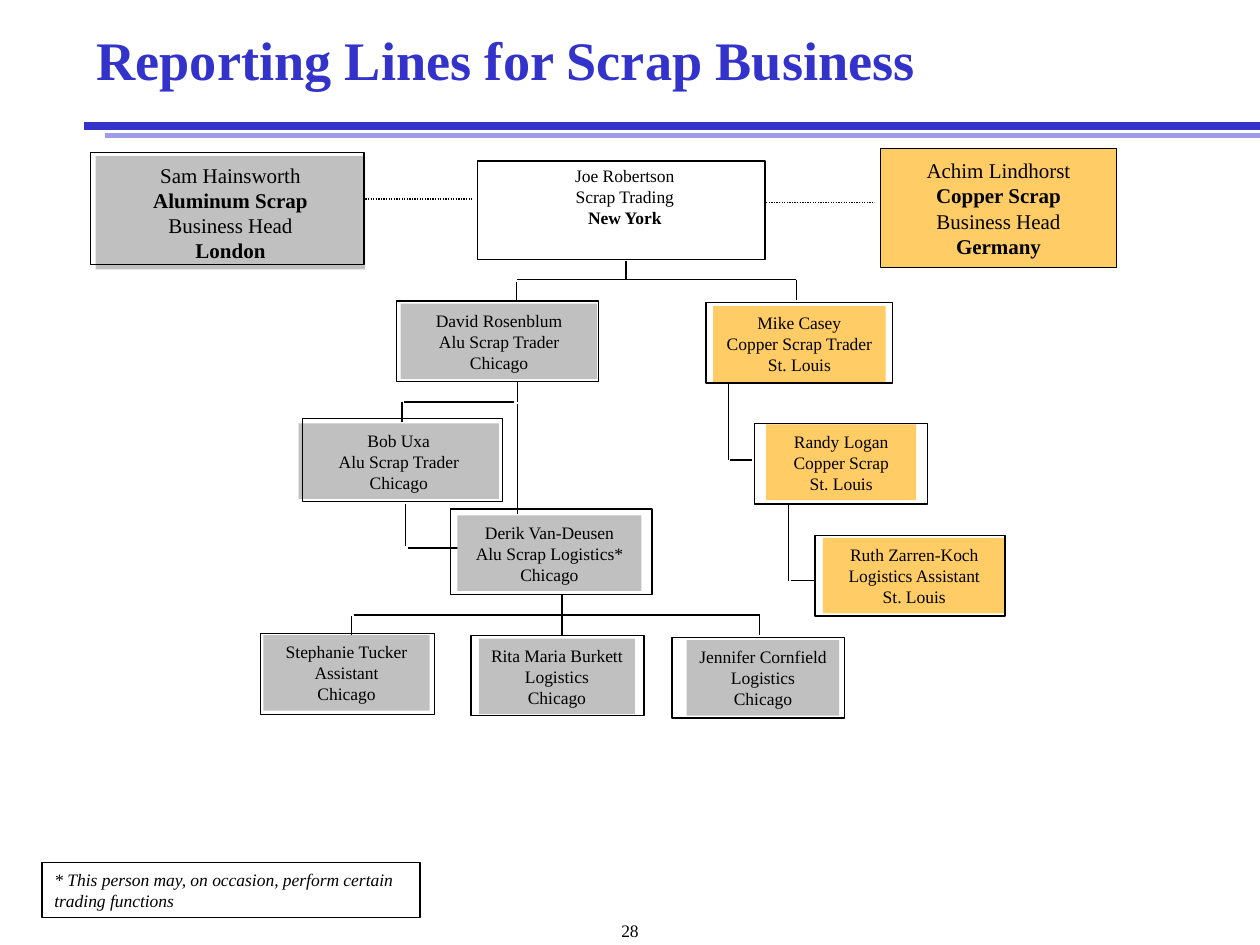
import pptx
import pptx.dml.color
import pptx.enum.dml
import pptx.enum.shapes
import pptx.enum.text
import pptx.oxml
import pptx.util

Pt = pptx.util.Pt
CENTER = pptx.enum.text.PP_ALIGN.CENTER
LEFT = pptx.enum.text.PP_ALIGN.LEFT
TOP = pptx.enum.text.MSO_ANCHOR.TOP
MIDDLE = pptx.enum.text.MSO_ANCHOR.MIDDLE
BLACK, BLUE, LILAC = "000000", "3333CC", "9D9DE7"
GRAY, AMBER = "C0C0C0", "FFCC66"


def color(value):
    return pptx.dml.color.RGBColor.from_string(value)


class ChartSlide:
    """Draws the parts of a reporting chart in one style on one slide."""

    font_name = "Times New Roman"

    def __init__(self, slide):
        self.slide = slide

    def set_text(self, shape, lines, size=10, bold=(), italic=False, ink=BLACK,
                 align=CENTER, anchor=TOP, wrap=False):
        frame = shape.text_frame
        frame.auto_size = pptx.enum.text.MSO_AUTO_SIZE.NONE
        frame.word_wrap = wrap
        frame.vertical_anchor = anchor
        frame.margin_left = frame.margin_right = Pt(7.2)
        frame.margin_top = frame.margin_bottom = Pt(3.6)
        for index, line in enumerate(lines):
            paragraph = frame.add_paragraph() if index else frame.paragraphs[0]
            paragraph.alignment = align
            run = paragraph.add_run()
            run.text = line
            font = run.font
            font.name, font.size = self.font_name, Pt(size)
            font.bold, font.italic = index in bold, italic
            font.color.rgb = color(ink)

    def title(self, text, box):
        title = self.slide.shapes.title
        title.left, title.top, title.width, title.height = map(Pt, box)
        self.set_text(title, [text], 31, bold=(0,), ink=BLUE, align=LEFT, anchor=MIDDLE, wrap=True)
        title.text_frame.paragraphs[0].line_spacing = 0.9

    def box(self, box, fill=None, outline=None):
        shape = self.slide.shapes.add_shape(
            pptx.enum.shapes.MSO_SHAPE.RECTANGLE, *map(Pt, box))
        shape.shadow.inherit = False
        if fill:
            shape.fill.solid()
            shape.fill.fore_color.rgb = color(fill)
        else:
            shape.fill.background()
        if outline:
            shape.line.color.rgb = color(outline)
            shape.line.width = Pt(0.75)
        else:
            shape.line.fill.background()
        return shape

    def card(self, panel, frame, fill, lines, **style):
        self.set_text(self.box(panel, fill), lines, **style)
        self.box(frame, outline=BLACK)

    def label(self, box, lines, **style):
        self.set_text(self.slide.shapes.add_textbox(*map(Pt, box)), lines, **style)

    def line(self, points, ink=BLACK, width=0.75, dotted=False):
        connector = self.slide.shapes.add_connector(
            pptx.enum.shapes.MSO_CONNECTOR.STRAIGHT, *map(Pt, points))
        connector.line.color.rgb = color(ink)
        connector.line.width = Pt(width)
        if dotted:
            connector.line.dash_style = pptx.enum.dml.MSO_LINE.ROUND_DOT
        effects = pptx.oxml.parse_xml(
            '<a:effectLst xmlns:a="http://schemas.openxmlformats.org/drawingml/2006/main"/>')
        connector._element.spPr.append(effects)


REPORTING_LINES = [
    (357.8, 149, 357.8, 159.8), (357, 159.8, 295.2, 159.8),
    (295.2, 161.3, 295.2, 172), (357.8, 159.8, 455, 159.8),
    (455, 159.8, 455, 171.4),
    (295.9, 218.2, 295.9, 229.7), (293.8, 229.7, 231.1, 229.7),
    (229.7, 229.7, 229.7, 241.2), (295.9, 231.1, 295.9, 293.8),
    (231.8, 288, 231.8, 311.8), (265.7, 313.2, 233.3, 313.2),
    (321.1, 339.8, 321.1, 351.4), (202.3, 351.4, 434.2, 351.4),
    (416.2, 218.9, 416.2, 262.8), (416.9, 262.8, 429.8, 262.8),
    (450.7, 288, 450.7, 331.9), (452.2, 331.9, 465.1, 331.9),
] + [(x, 352.1, x, 362.9) for x in (200.9, 321.1, 434.2)]
DOTTED_LINES = [(208.8, 113.8, 270, 113.8), (437.8, 115.9, 499.7, 115.9)]

TEAM = [
    ((229, 173.5, 112.3), (226.8, 172.1, 115.2, 46.1), GRAY,
     ["David Rosenblum", "Alu Scrap Trader", "Chicago"]),
    ((170.6, 241.9, 114.5), (172.8, 239, 114.5, 47.5), GRAY,
     ["Bob Uxa", "Alu Scrap Trader", "Chicago"]),
    ((261.4, 294.5, 105.1), (257.4, 290.9, 115.2, 49), GRAY,
     ["Derik Van-Deusen", "Alu Scrap Logistics*", "Chicago"]),
    ((150.5, 362.9, 95), (149, 362.2, 99.4, 46.1), GRAY,
     ["Stephanie Tucker", "Assistant", "Chicago"]),
    ((273.6, 365, 89.3), (269.2, 363, 98.8, 46.1), GRAY,
     ["Rita Maria Burkett", "Logistics", "Chicago"]),
    ((392.4, 365.8, 87.1), (384, 364.2, 98.8, 46.1), GRAY,
     ["Jennifer Cornfield", "Logistics", "Chicago"]),
    ((407.5, 175, 98.6), (403.4, 172.8, 106.6, 46.1), AMBER,
     ["Mike Casey", "Copper Scrap Trader", "St. Louis"]),
    ((437.8, 242.6, 85.7), (431.2, 241.9, 98.8, 46.1), AMBER,
     ["Randy Logan", "Copper Scrap", "St. Louis"]),
    ((470.2, 307.4, 104.4), (465.8, 306, 108.6, 46.1), AMBER,
     ["Ruth Zarren-Koch", "Logistics Assistant", "St. Louis"]),
]


def main():
    presentation = pptx.Presentation()
    presentation.slide_width, presentation.slide_height = Pt(720), Pt(540)
    chart = ChartSlide(presentation.slides.add_slide(presentation.slide_layouts[5]))

    chart.line((48, 72, 720, 72), BLUE, 4.5)
    chart.line((60, 77.6, 720, 77.6), LILAC, 3)
    chart.title("Reporting Lines for Scrap Business", (48, 0, 654, 72))

    for points in REPORTING_LINES:
        chart.line(points)
    for points in DOTTED_LINES:
        chart.line(points, dotted=True)

    chart.box((272.9, 92, 164.2, 56.2), outline=BLACK)
    chart.label((280, 90.7, 154, 43.2), ["Joe Robertson", "Scrap Trading", "New York"], bold=(2,))
    chart.card((54.7, 89.2, 154, 64.8), (51.6, 87.2, 156.4, 64), GRAY,
               ["Sam Hainsworth", "Aluminum Scrap", "Business Head", "London"],
               size=12, bold=(1, 3))
    copper_head = chart.box((503.2, 85, 134.8, 67.8), AMBER, BLACK)
    chart.set_text(copper_head, ["Achim Lindhorst", "Copper Scrap", "Business Head", "Germany"],
                   size=12, bold=(1, 3), anchor=MIDDLE)

    for panel, frame, fill, lines in TEAM:
        chart.card((*panel, 43.2), frame, fill, lines)

    footnote = chart.box((24, 492.8, 216, 31.6), outline=BLACK)
    chart.set_text(footnote,
                   ["* This person may, on occasion, perform certain trading functions"],
                   italic=True, align=LEFT, wrap=True)
    chart.label((0, 522, 720, 12.2), ["28"], wrap=True)

    presentation.save("out.pptx")


if __name__ == "__main__":
    main()
